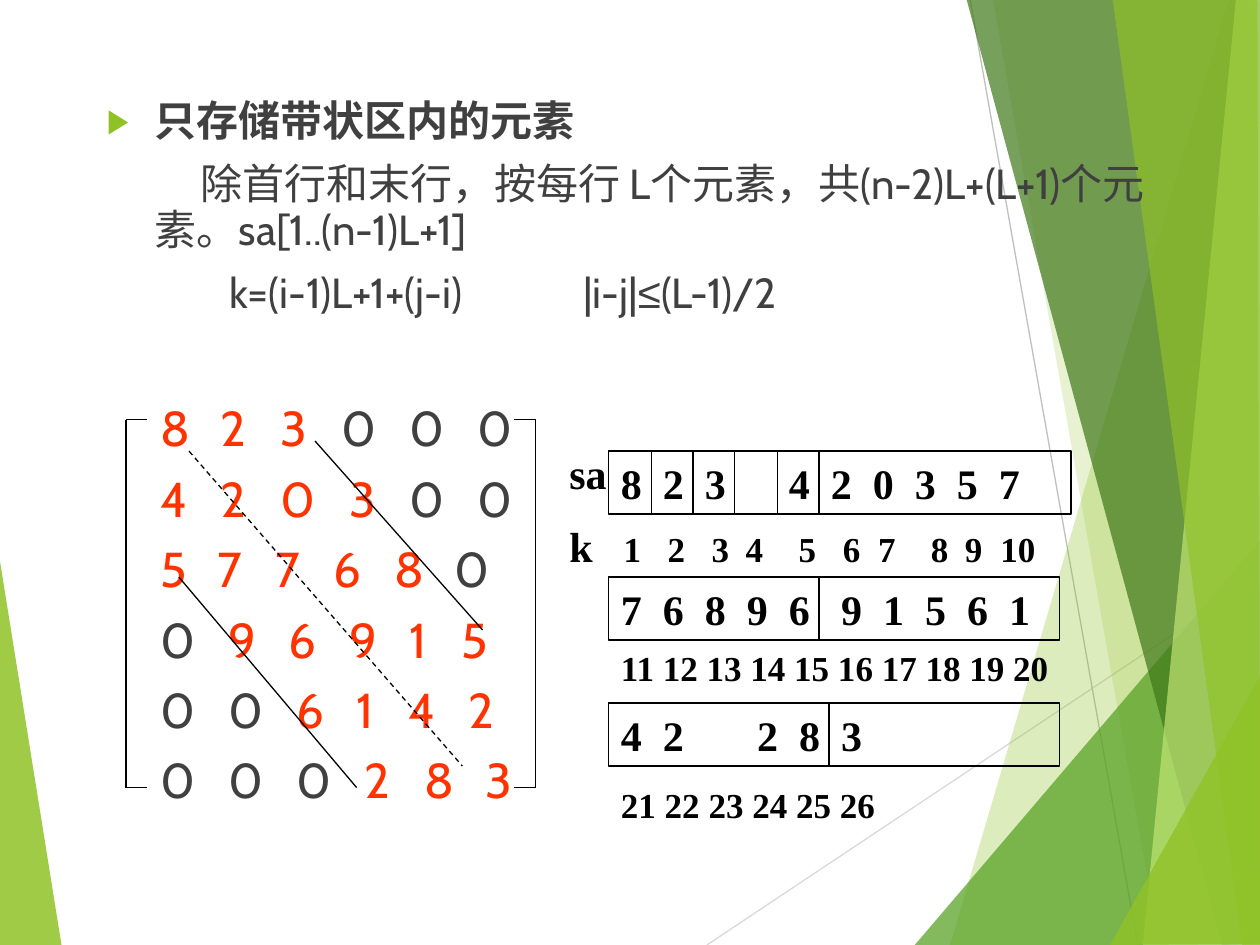
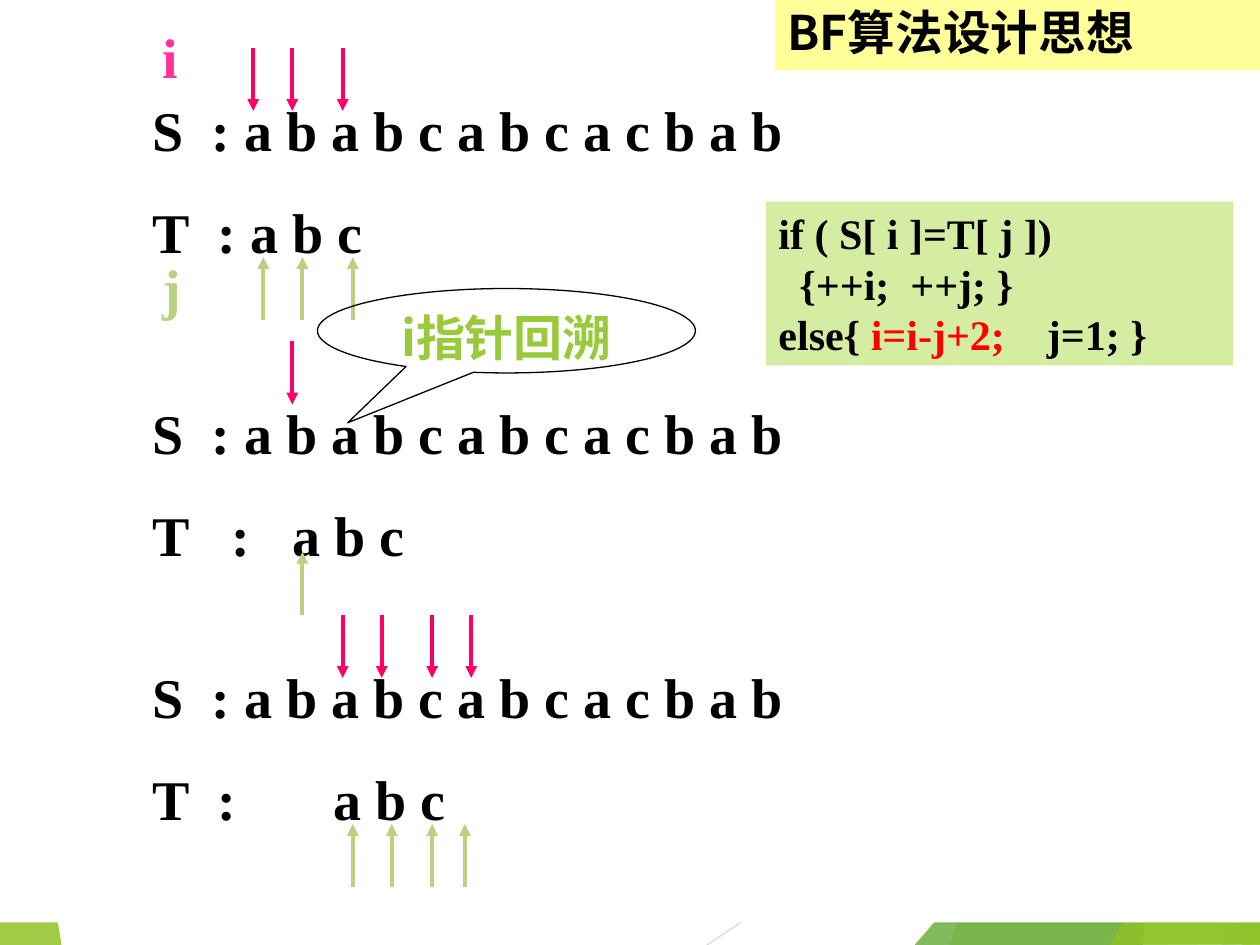
import itertools
import pptx
import pptx.util
import pptx.dml.color
import pptx.enum.dml
import pptx.enum.shapes
import pptx.enum.text
import pptx.oxml.ns
from lxml import etree

THEME = {
    "ink": "000000", "body": "404040", "red": "FF3300", "alert": "FF0000", "white": "FFFFFF",
    "green": "90C226", "leaf": "54A021", "forest": "3F7819", "lime": "C0E474",
    "grey": "BFBFBF", "pale_grey": "D9D9D9", "pink": "FF3399", "arrow_s": "FF0066",
    "arrow_t": "B9D181", "callout": "99CA3C", "title_fill": "FFFF99", "code_fill": "D5EDA2",
    "sans": "Cabin", "serif": "Times New Roman", "cjk": "Noto Sans CJK SC", "symbol": "Arial",
    "text": 24, "index": 20, "matrix": 28, "letters": 32, "title": 27.2,
    "thin": 0.75, "thick": 2.25,
}
SERIF = dict(name=THEME["serif"], size=THEME["text"], bold=True, color="ink")
INDEX = SERIF | dict(size=THEME["index"])
LETTERS = SERIF | dict(size=THEME["letters"])
BODY = dict(name=THEME["sans"], size=THEME["text"], bold=False, color="body")
MATRIX = BODY | dict(size=THEME["matrix"])

BANDS = [
    ("green", 85, [(-0.01, 4.39), (0.49, 7.51), (-0.01, 7.5)]),
    ("pale_grey", 100, [(5.61, 7.5), (10.01, 4.57)]),
    ("grey", 100, [(7.7, 0), (9.03, 7.5)]),
    ("green", 30, [(9.75, 0), (7.54, 7.5), (10.02, 7.51), (10.01, 0.01)]),
    ("green", 20, [(7.88, -0.01), (9.2, 7.5), (10.01, 7.5), (10.01, -0.01)]),
    ("leaf", 72, [(7.26, 7.5), (10, 4.29), (10.01, 7.5)]),
    ("forest", 70, [(7.67, -0.01), (9.7, 7.5), (10.01, 7.49), (10.01, -0.01)]),
    ("lime", 70, [(9.81, -0.01), (9.07, 7.5), (10.01, 7.5), (10, -0.01)]),
    ("green", 65, [(8.83, -0.01), (9.86, 7.5), (10, 7.5), (9.98, -0.01)]),
    ("green", 80, [(8.81, 7.5), (10.01, 5.35), (10.01, 7.49)]),
]

INTRO = [
    dict(runs=[("只存储带状区内的元素", dict(bold=True))], margin=0.38, indent=-0.38, bullet="▶"),
    dict(runs=[("除首行和末行，按每行 L个元素，共(n-2)L+(L+1)个元素。sa[1..(n-1)L+1]", {})],
         margin=0.38, indent=0.36),
    dict(runs=[("\tk=(i-1)L+1+(j-i)\t|i-j|", {}), ("≤", dict(name=THEME["symbol"])),
               ("(L-1)/2", {})], tabs=[0.97, 3.78]),
]
MATRIX_ROWS = ["823000", "420300", "577680", "096915", "006142", "000283"]
BAND_SPANS = [(0, 3), (0, 4), (0, 5), (1, 6), (2, 6), (3, 6)]
DIGIT_STEP, DIGIT_STEPS = 0.48, {"0": 0.54, "1": 0.41, "5": 0.46, "7": 0.46}
DIAGONALS = [((2.5, 3.5), (3.83, 5), False), ((1.42, 4.58), (2.83, 6.25), False),
             ((1.5, 3.58), (3.67, 6.08), True)]
ARRAY_ROWS = [
    dict(y=3.58, w=3.67, cells=["8", "2", "3", "", *"420357"], shift_from=10,
         dividers=[5.17, 5.5, 5.83, 6.17, 6.5]),
    dict(y=4.58, w=3.58, cells=[*"7689691561"], shift_from=5, dividers=[6.5]),
    dict(y=5.58, w=3.58, cells=["4", "2", "", *"283"], shift_from=3, dividers=[6.58]),
]
CELL_STEP, CELL_SHIFT = 1 / 3, 0.08
INDEX_ROWS = [(5.08, "11 12 13 14 15 16 17 18 19 20"), (6.17, "21 22 23 24 25 26")]
INDEX_TABS = [0.43, 0.78, 1.13, 1.4, 1.82, 2.17, 2.45, 2.87, 3.14, 3.42]

S_LINE = "S\t: a b a b c a b c a c b a b"
STEPS = [
    dict(y=0.71, target="T\t: a b c", tabs=[0.52], s_top=0.38, s_x=[2.01, 2.32, 2.72],
         t_top=2.04, t_x=[2.09, 2.4, 2.8]),
    dict(y=3.11, target="T\t:\ta b c", tabs=[0.63, 1.11], s_top=2.71, s_x=[2.32],
         t_top=4.38, t_x=[2.4]),
    dict(y=5.21, target="T\t:\ta b c", tabs=[0.52, 1.44], s_top=4.88,
         s_x=[2.72, 3.03, 3.43, 3.74], t_top=6.54, t_x=[2.8, 3.11, 3.43, 3.69]),
]
POINTERS = [("i", 0.13, "pink"), ("j", 1.96, "arrow_t")]
CODE = [
    [("if ( S[ i ]=T[ j ])", {})],
    [("  {++i;  ++j; }", {})],
    [("else{ ", {}), ("i=i-j+2;", dict(color="alert")), ("    j=1; }", {})],
]

inch = pptx.util.Inches
qn = pptx.oxml.ns.qn
RECT = pptx.enum.shapes.MSO_SHAPE.RECTANGLE


def rgb(key):
    return pptx.dml.color.RGBColor.from_string(THEME[key])


def add_xml(parent, tag, **attrs):
    el = etree.SubElement(parent, qn(tag))
    for key, value in attrs.items():
        el.set(key, str(value))
    return el


def format_paragraph(p, margin=0, indent=0, bullet=None, tabs=(), before=0, spacing=None, align=None):
    pr = p._p.get_or_add_pPr()
    for key, value in (("marL", margin), ("indent", indent)):
        if value:
            pr.set(key, str(inch(value)))
    if bullet:
        add_xml(add_xml(pr, "a:buClr"), "a:srgbClr", val=THEME["green"])
        add_xml(pr, "a:buSzPct", val=80000)
        add_xml(pr, "a:buFont", typeface=THEME["symbol"])
        add_xml(pr, "a:buChar", char=bullet)
    if tabs:
        stops = add_xml(pr, "a:tabLst")
        for stop in tabs:
            add_xml(stops, "a:tab", pos=inch(stop), algn="l")
    p.space_before = pptx.util.Pt(before)
    p.line_spacing = spacing
    p.alignment = align or pptx.enum.text.PP_ALIGN.LEFT


def add_run(p, text, fmt):
    r = p.add_run()
    r.text = text
    for key, value in fmt.items():
        if key == "color":
            r.font.color.rgb = rgb(value)
        else:
            setattr(r.font, key, pptx.util.Pt(value) if key == "size" else value)
    add_xml(r._r.get_or_add_rPr(), "a:ea", typeface=THEME["cjk"])


def write(sp, paras, base, before=0, inset=(0.1, 0.05), anchor="TOP", **shared):
    tf = sp.text_frame
    frame = dict(word_wrap=True, auto_size=pptx.enum.text.MSO_AUTO_SIZE.NONE,
                 vertical_anchor=pptx.enum.text.MSO_ANCHOR[anchor],
                 margin_left=inch(inset[0]), margin_right=inch(inset[0]),
                 margin_top=inch(inset[1]), margin_bottom=inch(inset[1]))
    for key, value in frame.items():
        setattr(tf, key, value)
    for n, para in enumerate(paras):
        p = tf.paragraphs[0] if n == 0 else tf.add_paragraph()
        own = {key: value for key, value in para.items() if key != "runs"}
        format_paragraph(p, before=before if n else 0, **shared, **own)
        for text, change in para["runs"]:
            add_run(p, text, base | change)


def text_box(s, box, paras, base, **fmt):
    sp = s.shapes.add_textbox(*map(inch, box))
    write(sp, paras, base, **fmt)


def style(sp, fill=None, line=None):
    sp.shadow.inherit = False
    if fill:
        sp.fill.solid()
        sp.fill.fore_color.rgb = rgb(fill)
    else:
        sp.fill.background()
    if line:
        sp.line.color.rgb = rgb(line)
        sp.line.width = pptx.util.Pt(THEME["thin"])
    else:
        sp.line.fill.background()
    return sp


def add_shape(s, kind, box, **look):
    return style(s.shapes.add_shape(kind, *map(inch, box)), **look)


def add_line(shapes, start, end, color="ink", width="thin", dashed=False, arrow=False):
    straight = pptx.enum.shapes.MSO_CONNECTOR.STRAIGHT
    sp = shapes.add_connector(straight, *map(inch, (*start, *end)))
    sp.line.color.rgb = rgb(color)
    sp.line.width = pptx.util.Pt(THEME[width])
    if dashed:
        sp.line.dash_style = pptx.enum.dml.MSO_LINE.DASH
    if arrow:
        add_xml(sp.line._get_or_add_ln(), "a:tailEnd", type="triangle")
    add_xml(sp.element.spPr, "a:effectLst")


def add_bands(prs, s):
    group = s.shapes.add_group_shape()
    for color, opacity, points in BANDS:
        if len(points) == 2:
            add_line(group.shapes, *points, color=color)
            continue
        corners = [(inch(x), inch(y)) for x, y in points]
        outline = group.shapes.build_freeform(*corners[0])
        outline.add_line_segments(corners[1:], close=True)
        sp = style(outline.convert_to_shape(), fill=color)
        clr = next(sp.element.spPr.iter(qn("a:srgbClr")))
        add_xml(clr, "a:alpha", val=opacity * 1000)
    for n, el in enumerate(group.element.iter(qn("p:cNvPr")), 100):
        el.set("id", str(n))
    prs.slide_master.shapes.element.insert(2, group.element)


def matrix_paragraph(row, span):
    steps = [DIGIT_STEPS.get(digit, DIGIT_STEP) for digit in row]
    runs = []
    for n, digit in enumerate(row):
        color = "red" if span[0] <= n < span[1] else "body"
        runs.append(("\t" * (n > 0) + digit, dict(color=color)))
    return dict(runs=runs, tabs=list(itertools.accumulate(steps[:-1])))


def band_storage(s):
    text_box(s, (0.75, 0.75, 8.5, 2), INTRO, BODY, before=10, spacing=0.9)
    rows = [matrix_paragraph(row, span) for row, span in zip(MATRIX_ROWS, BAND_SPANS)]
    text_box(s, (1.27, 3.21, 2.95, 3.3), rows, MATRIX, before=10, spacing=0.9, inset=(0, 0))
    top, bottom = 3.33, 6.25
    for x, tip in [(1, 1.17), (4.25, 4.08)]:
        add_line(s.shapes, (x, top), (x, bottom))
        for y in (top, bottom):
            add_line(s.shapes, (x, y), (tip, y))
    for start, end, dashed in DIAGONALS:
        add_line(s.shapes, start, end, dashed=dashed)

    left, height = 4.83, 0.5
    for row in ARRAY_ROWS:
        y, cells = row["y"], row["cells"]
        sp = add_shape(s, RECT, (left, y, row["w"], height), line="ink")
        tabs = [n * CELL_STEP + CELL_SHIFT * (n >= row["shift_from"])
                for n in range(1, len(cells))]
        write(sp, [dict(runs=[("\t".join(cells), {})], tabs=tabs)], SERIF)
        for x in row["dividers"]:
            add_line(s.shapes, (x, y), (x, y + height))
    text_box(s, (4.42, 3.5, 0.5, 0.5), [dict(runs=[("sa", {})])], SERIF)
    numbers = "".join(f"\t{n}" for n in range(1, 11))
    k_row = dict(runs=[("k", dict(size=THEME["text"])), (numbers, {})], tabs=INDEX_TABS)
    text_box(s, (4.42, 4.08, 4.08, 0.5), [k_row], INDEX)
    for y, text in INDEX_ROWS:
        text_box(s, (left, y, 3.67, 0.44), [dict(runs=[(text, {})])], INDEX)


def brute_force(s):
    add_shape(s, RECT, (0, 0.13, 10, 7.19), fill="white")
    length = 0.5
    for step in STEPS:
        lines = [dict(runs=[(S_LINE, {})], tabs=[0.47]),
                 dict(runs=[(step["target"], {})], tabs=step["tabs"])]
        text_box(s, (1.11, step["y"], 5.75, 1.45), lines, LETTERS, before=20)
        for x in step["s_x"]:
            y = step["s_top"]
            add_line(s.shapes, (x, y), (x, y + length), "arrow_s", "thick", arrow=True)
        for x in step["t_x"]:
            y = step["t_top"]
            add_line(s.shapes, (x, y + length), (x, y), "arrow_t", "thick", arrow=True)
    for name, y, color in POINTERS:
        text_box(s, (1.19, y, 0.5, 0.64), [dict(runs=[(name, dict(color=color))])], LETTERS)

    bubble = pptx.enum.shapes.MSO_SHAPE.OVAL_CALLOUT
    callout = add_shape(s, bubble, (2.52, 2.29, 3, 0.67), line="ink")
    callout.adjustments[0], callout.adjustments[1] = -0.42, 1.09
    write(callout, [dict(runs=[("i指针回溯", {})])],
          dict(name=THEME["cjk"], size=THEME["matrix"], bold=True, color="callout"),
          align=pptx.enum.text.PP_ALIGN.CENTER)

    title = s.shapes.title
    for key, value in zip(("left", "top", "width", "height"), (6.15, 0, 3.85, 0.56)):
        setattr(title, key, inch(value))
    title.fill.solid()
    title.fill.fore_color.rgb = rgb("title_fill")
    write(title, [dict(runs=[("BF算法设计思想", {})])],
          dict(name=THEME["cjk"], size=THEME["title"], bold=True, color="ink"),
          anchor="MIDDLE", spacing=0.9)
    s.shapes.element.append(title.element)

    code = add_shape(s, RECT, (6.08, 1.6, 3.71, 1.3), fill="code_fill")
    write(code, [dict(runs=runs) for runs in CODE], SERIF)


def main():
    prs = pptx.Presentation()
    prs.slide_width, prs.slide_height = inch(10), inch(7.5)
    title_only, blank = prs.slide_layouts[5], prs.slide_layouts[6]
    s = prs.slides.add_slide(blank)
    add_bands(prs, s)
    band_storage(s)
    brute_force(prs.slides.add_slide(title_only))
    prs.save("out.pptx")


if __name__ == "__main__":
    main()
